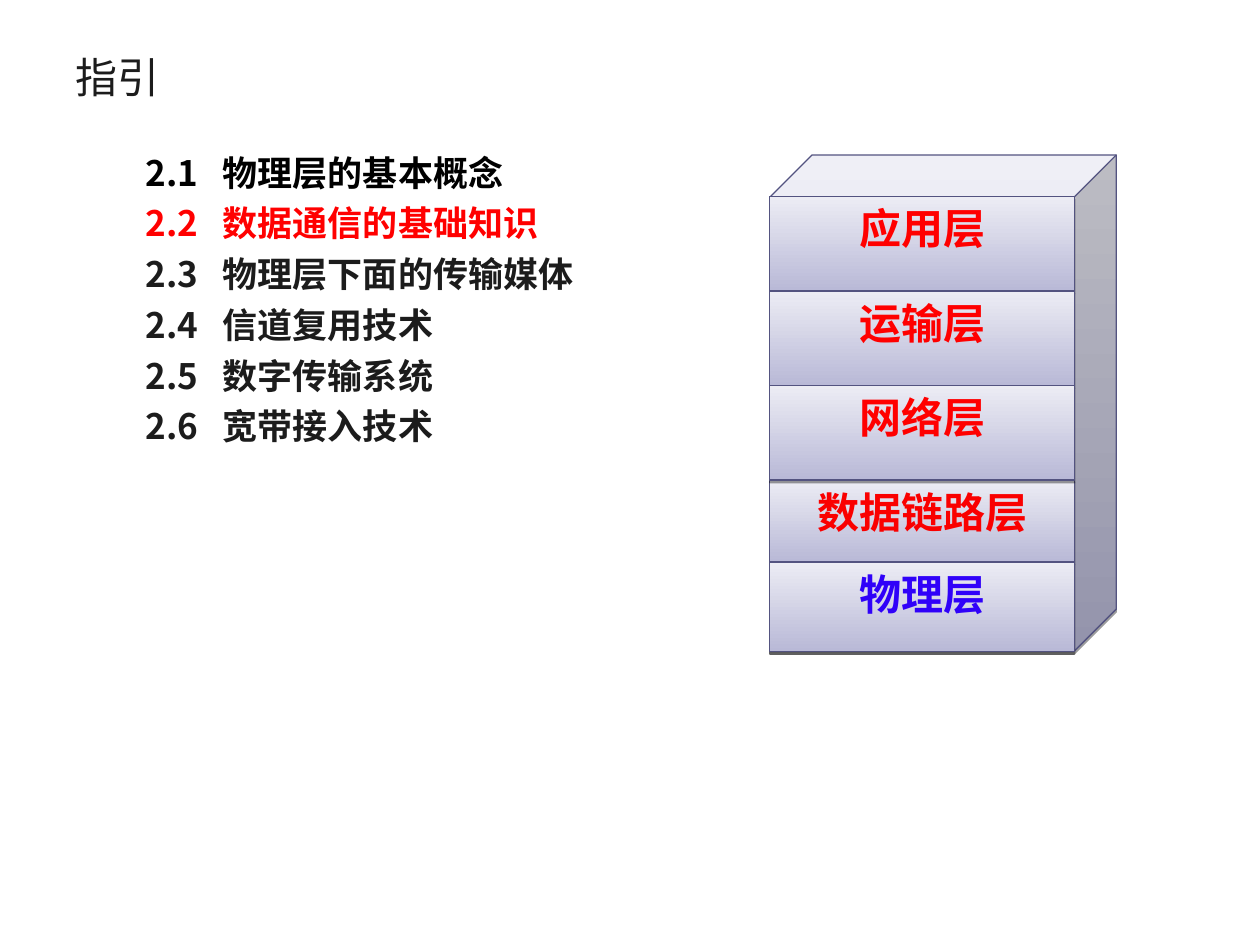
from dataclasses import dataclass
from lxml.etree import SubElement as Sub
from pptx import Presentation
from pptx.dml.color import RGBColor as Color
from pptx.enum.shapes import MSO_CONNECTOR as Wire, MSO_SHAPE as Shape
from pptx.enum.text import MSO_ANCHOR as Anchor, PP_ALIGN as Align
from pptx.oxml.ns import qn
from pptx.util import Inches, Pt


@dataclass(frozen=True)
class Theme:
    font: str = "Noto Sans CJK SC"
    ink: str = "1C1C1C"
    black: str = "000000"
    red: str = "FF0000"
    blue: str = "3001F9"
    edge: str = "535380"
    dark: str = "B9B9D7"
    light: str = "ECECF4"
    head: int = 24
    item: int = 20
    line: float = 0.75


@dataclass(frozen=True)
class Layer:
    name: str
    top: float
    high: float
    color: str
    rules: tuple = ()
    foot: float = 0


THEME = Theme()
LEFT, WIDE = 6.11, 2.42
TOPICS = [
    ("2.1", "物理层的基本概念", THEME.black),
    ("2.2", "数据通信的基础知识", THEME.red),
    ("2.3", "物理层下面的传输媒体", THEME.ink),
    ("2.4", "信道复用技术", THEME.ink),
    ("2.5", "数字传输系统", THEME.ink),
    ("2.6", "宽带接入技术", THEME.ink),
]
LAYERS = [
    Layer("应用层", 1.56, 0.75, THEME.red, (2.31,), 2.31),
    Layer("运输层", 2.31, 0.75, THEME.red, (3.06,), 3.06),
    Layer("数据链路层", 3.81, 0.65, "FA0000", (3.81, 4.98), 4.98),
    Layer("网络层", 3.06, 0.75, THEME.red, (), 3.81),
    Layer("物理层", 4.46, 0.71, THEME.blue),
]


def write(para, text: str, *, size: int, color: str, bold: bool = False,
          align=Align.LEFT, before: float = 0, hang: tuple = ()) -> None:
    if hang:
        props = para._p.get_or_add_pPr()
        props.set("marL", str(Inches(hang[0])))
        props.set("indent", str(Inches(hang[1])))
    para.alignment = align
    para.space_before = Pt(before)
    run = para.add_run()
    run.text = text
    font = run.font
    font.name, font.size, font.bold = THEME.font, Pt(size), bold
    font.color.rgb = Color.from_string(color)
    Sub(run._r.get_or_add_rPr(), qn("a:ea"), typeface=THEME.font)


def frame(slide, left: float, top: float, wide: float, high: float):
    box = slide.shapes.add_textbox(*map(Inches, (left, top, wide, high)))
    box.text_frame.word_wrap = True
    return box.text_frame


def block(slide, kind, left: float, top: float, wide: float, high: float):
    shape = slide.shapes.add_shape(kind, *map(Inches, (left, top, wide, high)))
    shape.fill.gradient()
    shape.fill.gradient_angle = 90
    for stop, tone in zip(shape.fill.gradient_stops, (THEME.dark, THEME.light)):
        stop.color.rgb = Color.from_string(tone)
    shape.line.color.rgb = Color.from_string(THEME.edge)
    shape.line.width = Pt(THEME.line)
    shape.shadow.inherit = False
    glow = Sub(shape._element.spPr.find(qn("a:effectLst")), qn("a:outerShdw"),
               blurRad="0", dist=str(Pt(1.6)), dir="5400000", rotWithShape="0")
    tint = Sub(glow, qn("a:srgbClr"), val=THEME.black)
    Sub(tint, qn("a:alpha"), val="38000")
    return shape


def rule(slide, x1: float, y1: float, x2: float, y2: float) -> None:
    wire = slide.shapes.add_connector(Wire.STRAIGHT, *map(Inches, (x1, y1, x2, y2)))
    wire.line.color.rgb = Color.from_string(THEME.edge)
    wire.line.width = Pt(THEME.line)
    Sub(wire._element.spPr, qn("a:effectLst"))


def draw(slide, layer: Layer) -> None:
    rect = block(slide, Shape.RECTANGLE, LEFT, layer.top, WIDE, layer.high)
    text = rect.text_frame
    text.word_wrap = True
    text.vertical_anchor = Anchor.TOP
    write(text.paragraphs[0], layer.name, size=THEME.head, color=layer.color,
          bold=True, align=Align.CENTER)
    right = LEFT + WIDE
    for y in layer.rules:
        rule(slide, LEFT, y, right, y)
    if layer.foot:
        for x in (LEFT, right):
            rule(slide, x, layer.top, x, layer.foot)


def main() -> None:
    """Build the guide slide with its topic list and layer stack."""
    deck = Presentation()
    deck.slide_width, deck.slide_height = Inches(10), Inches(7.5)
    slide = deck.slides.add_slide(deck.slide_layouts[6])

    title = frame(slide, 0.5, 0.3, 9, 0.61)
    title.vertical_anchor = Anchor.MIDDLE
    write(title.paragraphs[0], "指引", size=THEME.head, color=THEME.ink)

    topics = frame(slide, 0.67, 1.15, 8.5, 5.12)
    for i, (num, name, color) in enumerate(TOPICS):
        para = topics.add_paragraph() if i else topics.paragraphs[0]
        write(para, f"{num}\t{name}", size=THEME.item, color=color, bold=True,
              before=5 if i else 0, hang=(1, -0.61))

    cube = block(slide, Shape.CUBE, LEFT, 1.23, 2.75, 3.94)
    cube.adjustments[0] = 0.122
    for layer in LAYERS:
        draw(slide, layer)
    deck.save("out.pptx")


if __name__ == "__main__":
    main()
